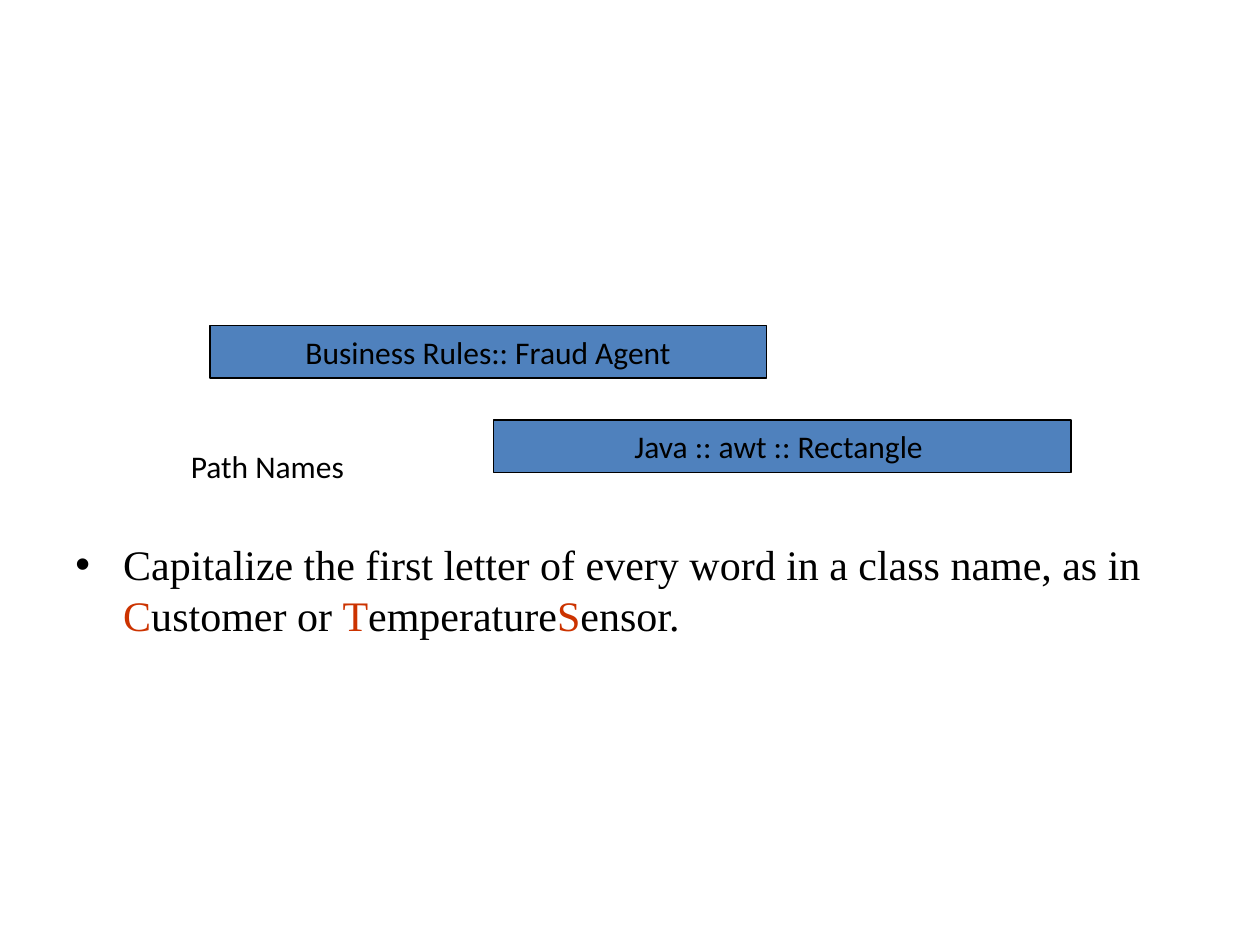
from dataclasses import dataclass

from lxml.etree import SubElement
from pptx import Presentation
from pptx.dml.color import RGBColor
from pptx.enum.shapes import MSO_SHAPE as Shape
from pptx.enum.text import MSO_ANCHOR as Anchor, PP_ALIGN as Align
from pptx.oxml.ns import qn
from pptx.util import Inches, Pt

WIDE, HIGH = 10, 7.5
COLS, ROWS = 120, 90  # grid of 1/12 inch cells
BLACK, BLUE, RED = "000000", "4F81BD", "CC3300"


@dataclass
class Box:
    text: str
    col: int
    row: int
    cols: int
    rows: int


NAMES = [
    Box("Business Rules:: Fraud Agent", 20, 31, 53, 5),
    Box("Java :: awt :: Rectangle ", 47, 40, 55, 5),
]
LABEL = Box("Path Names", 17, 42, 29, 6)
RULE = Box(
    "Capitalize the first letter of every word in a class name, as in "
    "|C|ustomer or |T|emperature|S|ensor.", 6, 21, 108, 59)


def paint(code: str) -> RGBColor:
    return RGBColor.from_string(code)


def place(box: Box) -> tuple:
    """Turn grid cells into left, top, width and height."""
    across, down = WIDE / COLS, HIGH / ROWS
    return (Inches(box.col * across), Inches(box.row * down),
            Inches(box.cols * across), Inches(box.rows * down))


def style(para, face: str, size: int) -> None:
    para.font.name = face
    para.font.size = Pt(size)
    para.font.color.rgb = paint(BLACK)


def draw_name(slide, box: Box) -> None:
    shape = slide.shapes.add_shape(Shape.RECTANGLE, *place(box))
    shape.shadow.inherit = False
    shape.fill.solid()
    shape.fill.fore_color.rgb = paint(BLUE)
    shape.line.color.rgb = paint(BLACK)
    shape.line.width = Pt(0.75)
    frame = shape.text_frame
    frame.word_wrap = False
    frame.vertical_anchor = Anchor.MIDDLE
    para = frame.paragraphs[0]
    para.text = box.text
    para.alignment = Align.CENTER
    style(para, "Calibri", 18)


def draw_label(slide, box: Box) -> None:
    frame = slide.shapes.add_textbox(*place(box)).text_frame
    frame.word_wrap = True
    para = frame.paragraphs[0]
    para.text = box.text
    style(para, "Calibri", 18)


def add_bullet(para, indent: float) -> None:
    props = para._p.get_or_add_pPr()
    props.set("marL", str(Inches(indent)))
    props.set("indent", str(-Inches(indent)))
    SubElement(props, qn("a:buFont")).set("typeface", "Arial")
    SubElement(props, qn("a:buChar")).set("char", "•")


def draw_rule(slide, box: Box) -> None:
    """Draw the bullet; every second part between bars is red."""
    frame = slide.shapes.add_textbox(*place(box)).text_frame
    frame.word_wrap = True
    frame.margin_top = Inches(2.52)
    para = frame.paragraphs[0]
    para.line_spacing = Pt(29.2)
    add_bullet(para, 0.38)
    style(para, "Times New Roman", 24)
    for i, part in enumerate(box.text.split("|")):
        run = para.add_run()
        run.text = part
        run.font.color.rgb = paint(RED if i % 2 else BLACK)


def main() -> None:
    deck = Presentation()
    deck.slide_width, deck.slide_height = Inches(WIDE), Inches(HIGH)
    slide = deck.slides.add_slide(deck.slide_layouts[6])
    draw_rule(slide, RULE)
    for box in NAMES:
        draw_name(slide, box)
    draw_label(slide, LABEL)
    deck.save("out.pptx")


if __name__ == "__main__":
    main()
